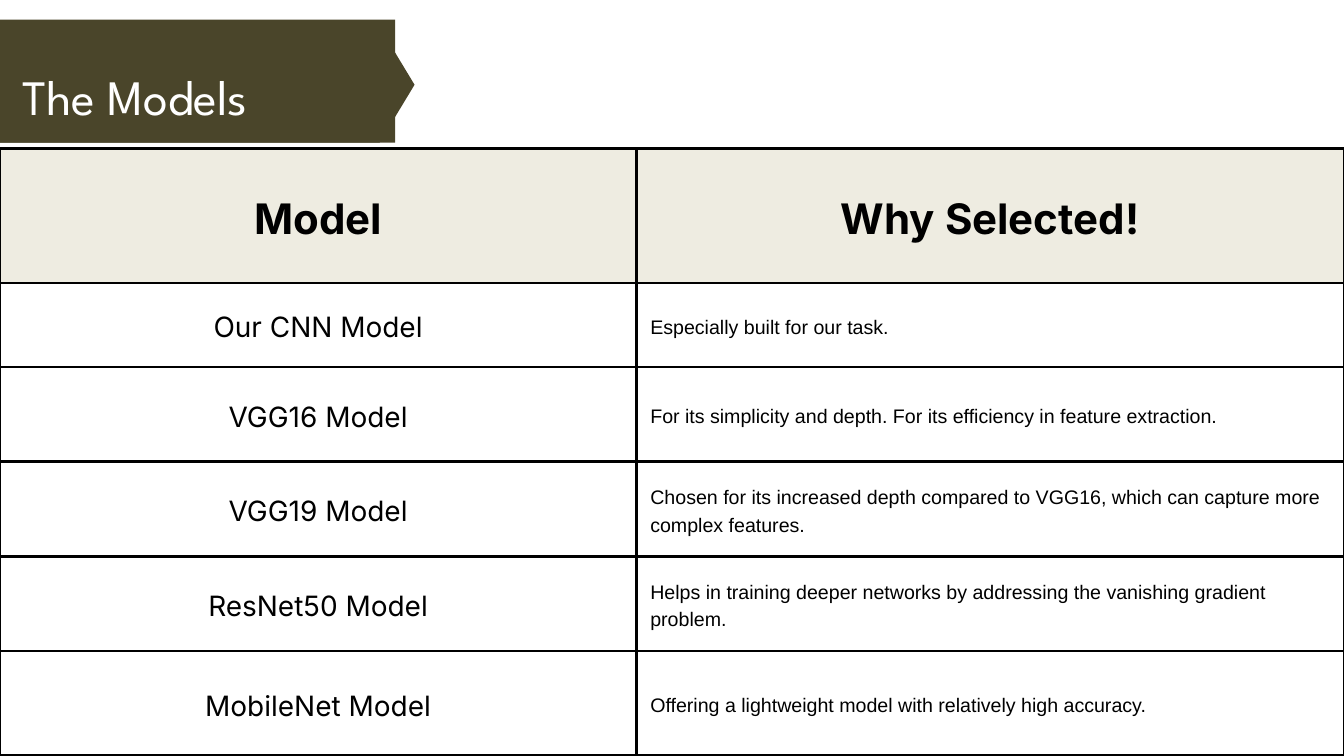
from dataclasses import dataclass

from lxml import etree
from pptx import Presentation
from pptx.dml.color import RGBColor
from pptx.enum.shapes import MSO_SHAPE
from pptx.enum.text import MSO_ANCHOR, MSO_AUTO_SIZE, PP_ALIGN
from pptx.oxml.ns import qn
from pptx.util import Cm, Pt

RECTANGLE = MSO_SHAPE.RECTANGLE
TOP, MIDDLE = MSO_ANCHOR.TOP, MSO_ANCHOR.MIDDLE
LEFT, CENTER = PP_ALIGN.LEFT, PP_ALIGN.CENTER
NO_AUTOFIT = MSO_AUTO_SIZE.NONE
TITLE_ONLY = 5


@dataclass(frozen=True)
class TextStyle:
    font: str
    size: float
    color: str
    align: int = LEFT
    bold: bool = False


@dataclass(frozen=True)
class Theme:
    banner: str = "4A452A"
    header_fill: str = "EEECE1"
    border: str = "000000"
    border_width: float = 3
    line_spacing: float = 1.4
    title: TextStyle = TextStyle("League Spartan", 53, "FFFFFF")
    header: TextStyle = TextStyle("Inter", 45, "000000", CENTER, True)
    model: TextStyle = TextStyle("Inter", 30, "000000", CENTER)
    reason: TextStyle = TextStyle("Arial", 21, "000000")


THEME = Theme()
HEADINGS = ("Model", "Why Selected!")
MODELS = [
    ("Our CNN Model", "Especially built for our task."),
    ("VGG16 Model",
     "For its simplicity and depth. For its efficiency in feature extraction."),
    ("VGG19 Model",
     "Chosen for its increased depth compared to VGG16, "
     "which can capture more complex features."),
    ("ResNet50 Model",
     "Helps in training deeper networks by addressing "
     "the vanishing gradient problem."),
    ("MobileNet Model",
     "Offering a lightweight model with relatively high accuracy."),
]
COLUMN_WIDTHS = (24.05, 26.75)
ROW_HEIGHTS = (5.08, 3.18, 3.58, 3.58, 3.58, 3.96)


def write(frame, text, style, inset=0.0, anchor=TOP):
    """Fill a text frame or table cell with one styled run."""
    frame.margin_left = frame.margin_right = Cm(inset)
    frame.margin_top = frame.margin_bottom = Cm(inset)
    frame.vertical_anchor = anchor
    text_frame = getattr(frame, "text_frame", frame)
    paragraph = text_frame.paragraphs[0]
    paragraph.alignment = style.align
    paragraph.line_spacing = Pt(round(style.size * THEME.line_spacing, 1))
    run = paragraph.add_run()
    run.text = text
    run.font.name = style.font
    run.font.size = Pt(style.size)
    run.font.bold = style.bold
    run.font.color.rgb = RGBColor.from_string(style.color)


def paint(shape, color):
    shape.fill.solid()
    shape.fill.fore_color.rgb = RGBColor.from_string(color)
    shape.line.fill.background()
    shape.shadow.inherit = False


def add_borders(cell):
    """Draw all four cell edges; they must precede the fill in the XML."""
    properties = cell._tc.get_or_add_tcPr()
    for position, edge in enumerate(("a:lnL", "a:lnR", "a:lnT", "a:lnB")):
        line = etree.Element(qn(edge), w=str(Pt(THEME.border_width)))
        fill = etree.SubElement(line, qn("a:solidFill"))
        etree.SubElement(fill, qn("a:srgbClr"), val=THEME.border)
        properties.insert(position, line)


def add_title_banner(slide, left, top, width, height):
    """Arrow-ended banner with the slide title in front of it."""
    banner = slide.shapes.add_group_shape()

    # Arrow, a little lower than the panel that covers its body
    arrow_top = top + Cm(0.28)
    bottom = top + height
    shoulder = left + width - Cm(1.32)
    outline = banner.shapes.build_freeform(shoulder, arrow_top)
    outline.add_line_segments([
        (left, arrow_top),
        (left, bottom),
        (shoulder, bottom),
        (left + width, (arrow_top + bottom) // 2),
    ], close=True)
    paint(outline.convert_to_shape(), THEME.banner)

    # Panel
    panel = banner.shapes.add_shape(
        RECTANGLE, left, top, width - Cm(0.73), height)
    paint(panel, THEME.banner)

    # Title, brought in front of the banner
    title = slide.shapes.title
    title.left, title.top = left + Cm(0.84), top + Cm(1.37)
    title.width, title.height = Cm(24.56), Cm(2.54)
    title.text_frame.word_wrap = True
    title.text_frame.auto_size = NO_AUTOFIT
    write(title.text_frame, "The Models", THEME.title)
    banner.element.addnext(title.element)


def add_model_table(slide, left, top, width, height):
    """Table of the models and the reason for choosing each."""
    rows = [HEADINGS, *MODELS]
    table = slide.shapes.add_table(
        len(rows), len(HEADINGS), left, top, width, height).table
    table.first_row = table.horz_banding = False

    for column, column_width in zip(table.columns, COLUMN_WIDTHS):
        column.width = Cm(column_width)
    for row, row_height in zip(table.rows, ROW_HEIGHTS):
        row.height = Cm(row_height)

    for row_index, texts in enumerate(rows):
        is_header = row_index == 0
        styles = ((THEME.header, THEME.header) if is_header
                  else (THEME.model, THEME.reason))
        for column_index, (text, style) in enumerate(zip(texts, styles)):
            cell = table.cell(row_index, column_index)
            write(cell, text, style, inset=0.53, anchor=MIDDLE)
            if is_header:
                cell.fill.solid()
                cell.fill.fore_color.rgb = RGBColor.from_string(
                    THEME.header_fill)
            else:
                cell.fill.background()
            add_borders(cell)


def main():
    deck = Presentation()
    deck.slide_width, deck.slide_height = Cm(50.8), Cm(28.58)
    slide = deck.slides.add_slide(deck.slide_layouts[TITLE_ONLY])
    add_title_banner(slide, Cm(0), Cm(0.74), Cm(15.67), Cm(4.65))
    add_model_table(slide, Cm(0), Cm(5.61),
                    Cm(sum(COLUMN_WIDTHS)), Cm(sum(ROW_HEIGHTS)))
    deck.save("out.pptx")


if __name__ == "__main__":
    main()
